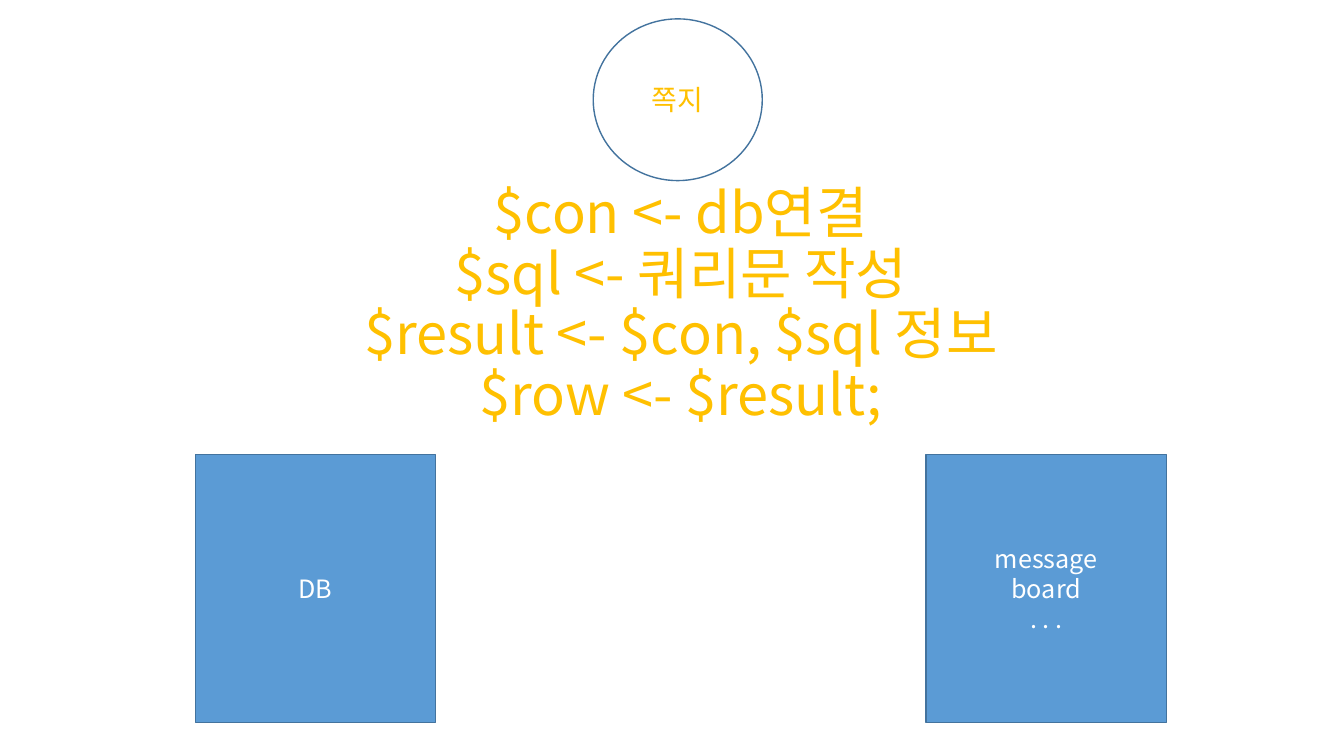
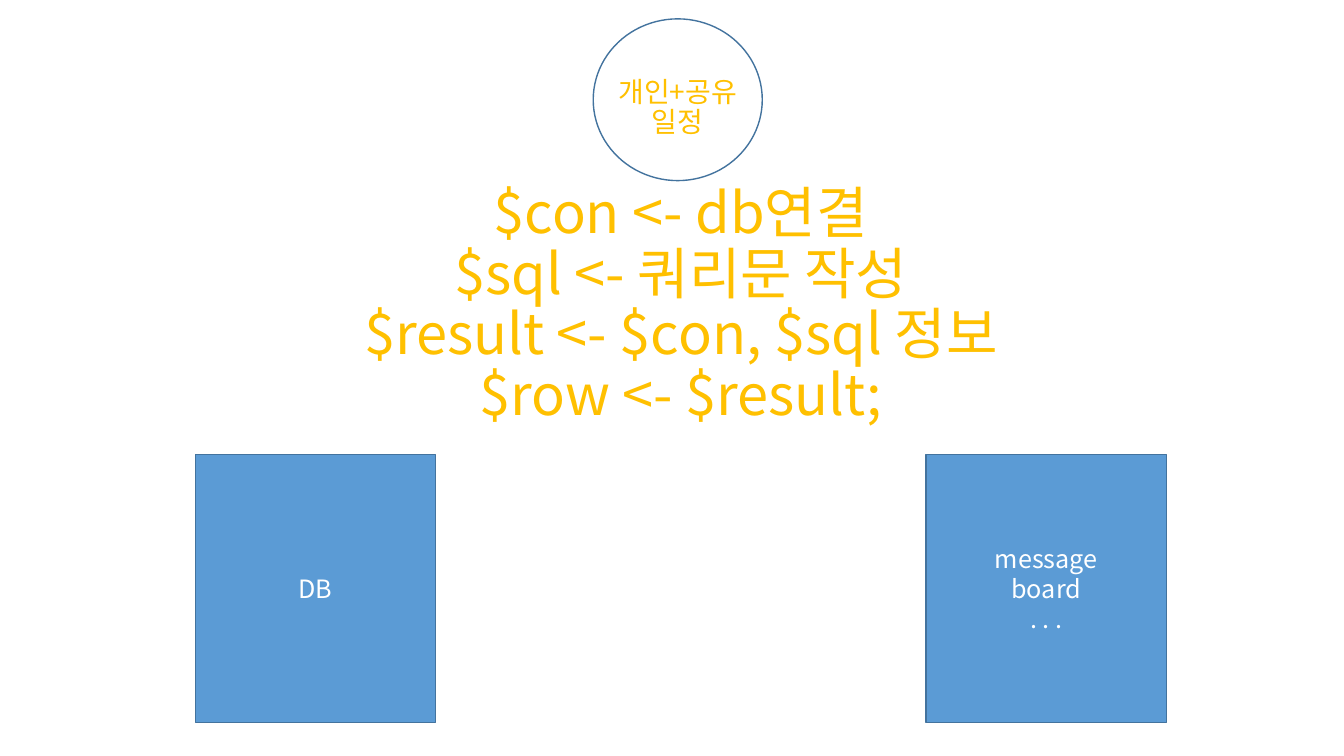
from lxml.etree import SubElement
from pptx import Presentation
from pptx.dml.color import RGBColor
from pptx.enum.shapes import MSO_SHAPE as Shape
from pptx.enum.text import MSO_ANCHOR as Anchor, MSO_AUTO_SIZE as AutoSize, PP_ALIGN as Align
from pptx.oxml.ns import qn
from pptx.util import Pt

PX = 9525
FONT = "Noto Sans CJK KR"
COLORS = {"white": "FFFFFF", "blue": "5B9BD5", "outline": "43739E", "gold": "FFC000"}
CODE = ["$con <- db연결", "$sql <- 쿼리문 작성", "$result <- $con, $sql 정보", "$row <- $result;"]
TOPICS = [(["쪽지"], 37), (["개인+공유", "일정"], 58)]


class Deck:
    """Holds the shared style and the current slide."""

    def __init__(self, width, height):
        """Open an empty deck of the given size."""
        self.prs = Presentation()
        self.prs.slide_width, self.prs.slide_height = width * PX, height * PX

    def slide(self):
        """Start a slide with a title and a subtitle body."""
        self.s = self.prs.slides.add_slide(self.prs.slide_layouts[0])

    def color(self, name):
        """Look up a named colour."""
        return RGBColor.from_string(COLORS[name])

    def label(self, sp, lines, size, color, anchor, spacing=1.0):
        """Fill a shape with centred lines of text."""
        tf = sp.text_frame
        tf.text = "\n".join(lines)
        tf.word_wrap, tf.auto_size, tf.vertical_anchor = True, AutoSize.NONE, anchor
        for p in tf.paragraphs:
            p.alignment, p.line_spacing, p.space_before = Align.CENTER, spacing, Pt(0)
            for r in p.runs:
                r.font.name, r.font.size, r.font.bold = FONT, Pt(size), False
                r.font.color.rgb = self.color(color)
                SubElement(r.font._element, qn("a:ea"), typeface=FONT)

    def shape(self, kind, box, fill, lines=()):
        """Add an outlined shape, with text if any is given."""
        sp = self.s.shapes.add_shape(kind, *(v * PX for v in box))
        sp.shadow.inherit = False
        sp.fill.solid()
        sp.fill.fore_color.rgb = self.color(fill)
        sp.line.color.rgb, sp.line.width = self.color("outline"), Pt(1)
        if lines:
            self.label(sp, lines, 18, "white", Anchor.MIDDLE)

    def heading(self, index, box, lines, size):
        """Place a gold placeholder text in front of the shapes."""
        sp = self.s.placeholders[index]
        sp.left, sp.top, sp.width, sp.height = (v * PX for v in box)
        self.label(sp, lines, size, "gold", Anchor.BOTTOM, 0.9)
        sp.element.getparent().append(sp.element)


def main():
    """Build one flow slide per topic."""
    deck = Deck(1280, 720)
    for topic, top in TOPICS:
        deck.slide()
        deck.shape(Shape.OVAL, (565, 18, 161, 154), "white")
        deck.heading(0, (318, top, 655, 79), topic, 20)
        for left, lines in ((186, ["DB"]), (882, ["message", "board", ". . ."])):
            deck.shape(Shape.RECTANGLE, (left, 433, 229, 255), "blue", lines)
        deck.heading(1, (259, 249, 779, 163), CODE, 40)
    deck.prs.save("out.pptx")


if __name__ == "__main__":
    main()
